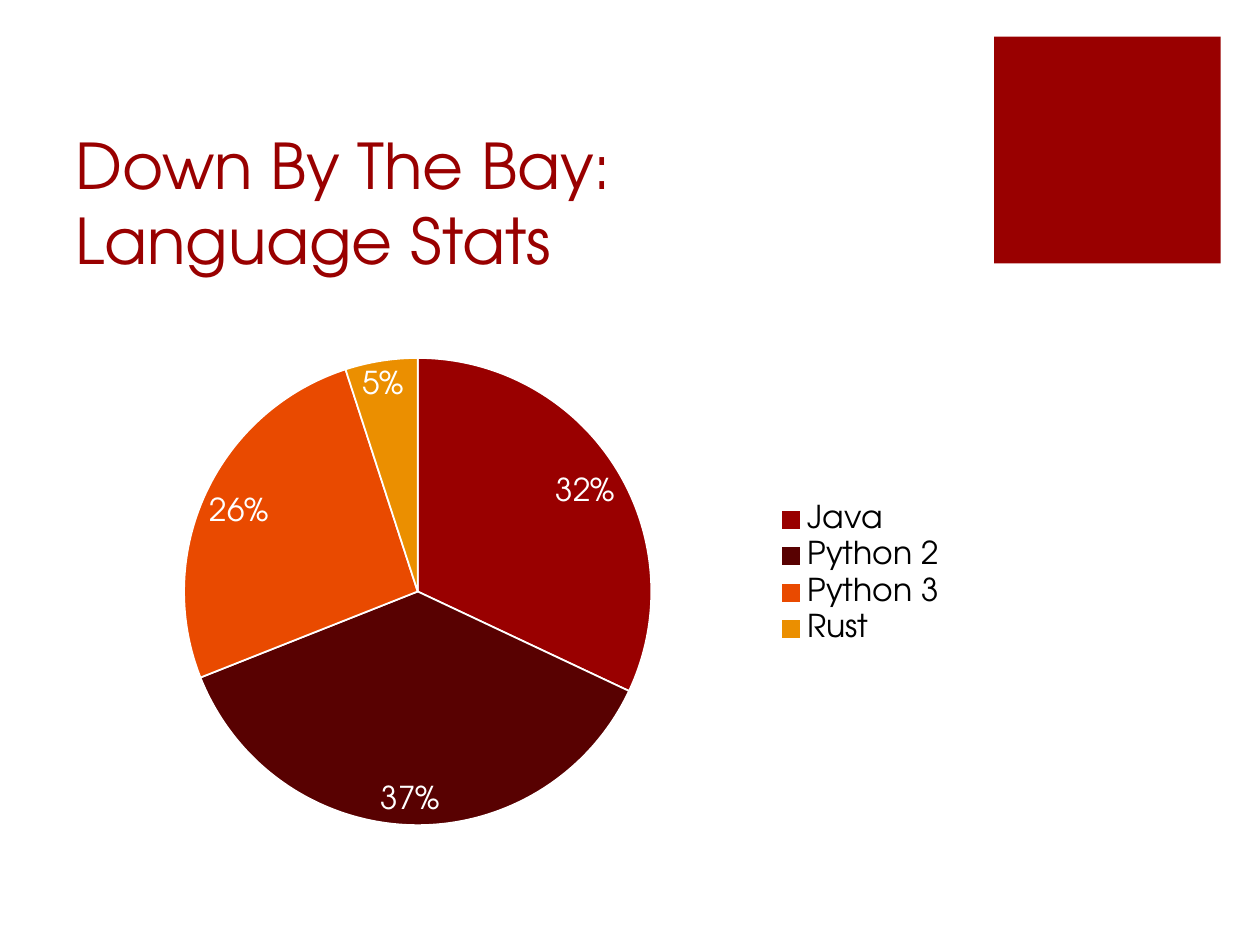
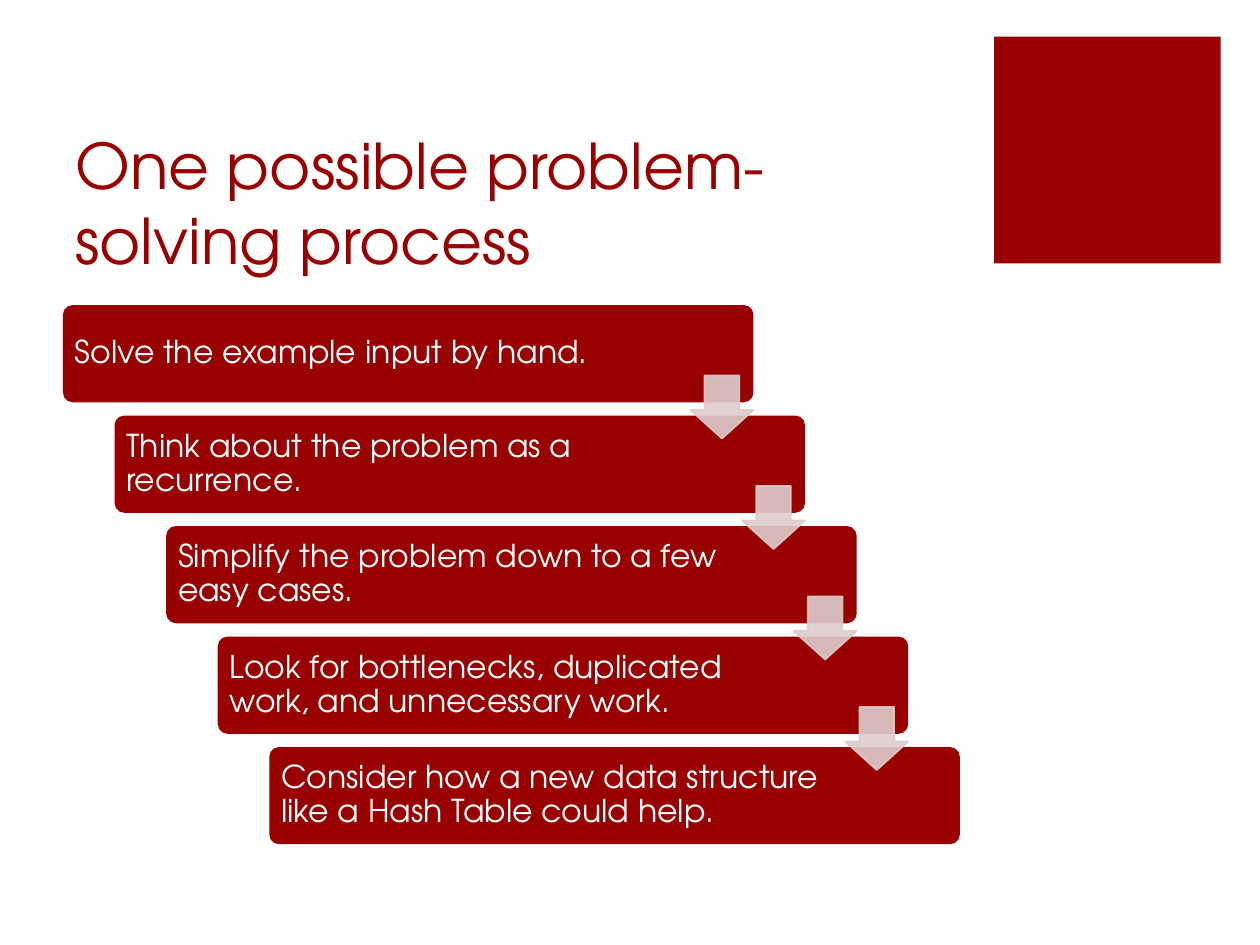
from pptx import Presentation
from pptx.chart.data import CategoryChartData as ChartData
from pptx.dml.color import RGBColor as RGB
from pptx.enum.chart import XL_CHART_TYPE as CT, XL_LABEL_POSITION as LP, XL_LEGEND_POSITION as LEG
from pptx.enum.shapes import MSO_SHAPE as SHAPE
from pptx.enum.text import MSO_ANCHOR as ANCHOR
from pptx.oxml import parse_xml
from pptx.oxml.ns import nsdecls
from pptx.util import Cm, Pt

FONT = "TeX Gyre Adventor"
COLORS = {
    "red": "990000",
    "maroon": "580101",
    "orange": "E94A00",
    "amber": "EB8F00",
    "pink": "DECCCC",
    "white": "FFFFFF",
    "black": "000000",
}

STATS_TITLE = "Down By The Bay:\nLanguage Stats"
LANGUAGES = [
    ("Java", 32, "red"),
    ("Python 2", 37, "maroon"),
    ("Python 3", 26, "orange"),
    ("Rust", 5, "amber"),
]

STEPS_TITLE = "One possible problem-solving process"
STEPS = [
    "Solve the example input by hand.",
    "Think about the problem as a recurrence.",
    "Simplify the problem down to a few easy cases.",
    "Look for bottlenecks, duplicated work, and unnecessary work.",
    "Consider how a new data structure like a Hash Table could help.",
]

LEFT, TOP, WIDTH, HEIGHT = 1.27, 6.15, 18.08, 10.87
BAR_W, BAR_H = 13.92, 1.96
ARROW, ARROW_DROP = 1.27, 1.42
STEP_X = (WIDTH - BAR_W) / (len(STEPS) - 1)
STEP_Y = (HEIGHT - BAR_H) / (len(STEPS) - 1)
PAD = 0.06


def rgb(name):
    return RGB.from_string(COLORS[name])


def set_font(font, size, color):
    font.name, font.size = FONT, Pt(size)
    font.color.rgb = rgb(color)


def add_text(s, text, box, size=18, color="white", anchor=ANCHOR.MIDDLE,
             inset=(0.18, 0.18), spacing=1.0):
    tf = s.shapes.add_textbox(*map(Cm, box)).text_frame
    tf.word_wrap = True
    tf.vertical_anchor = anchor
    tf.margin_left = tf.margin_right = Cm(inset[0])
    tf.margin_top = tf.margin_bottom = Cm(inset[1])
    p = tf.paragraphs[0]
    p.text = text
    p.line_spacing = spacing
    for r in p.runs:
        set_font(r.font, size, color)


def add_shape(s, kind, box, color, adjust=(), opacity=None):
    sp = s.shapes.add_shape(kind, *map(Cm, box))
    sp.shadow.inherit = False
    for i, value in enumerate(adjust):
        sp.adjustments[i] = value
    sp.fill.solid()
    sp.fill.fore_color.rgb = rgb(color)
    if opacity is None:
        sp.line.fill.background()
        return
    sp.line.color.rgb = rgb(color)
    sp.line.width = Pt(1)
    for clr in sp._element.spPr.xpath(".//a:srgbClr"):
        clr.append(parse_xml(f'<a:alpha {nsdecls("a")} val="{opacity * 1000}"/>'))


def add_slide(title):
    s = prs.slides.add_slide(prs.slide_layouts[6])
    add_shape(s, SHAPE.RECTANGLE, (20.04, 0.74, 4.57, 4.57), "red")
    add_text(s, title, (LEFT, 2.54, WIDTH, 3.18), size=36, color="red",
             anchor=ANCHOR.BOTTOM, inset=(0.25, 0.13))
    return s


def add_pie(s, rows):
    data = ChartData(number_format="General")
    data.categories = [name for name, _, _ in rows]
    data.add_series("Series 1", [value for _, value, _ in rows])
    box = map(Cm, (LEFT, TOP, WIDTH, HEIGHT))
    chart = s.shapes.add_chart(CT.PIE, *box, data).chart
    chart.has_title = False
    set_font(chart.font, 18, "black")
    chart.has_legend = True
    chart.legend.position = LEG.RIGHT
    chart.legend.include_in_layout = False

    plot = chart.plots[0]
    plot.vary_by_categories = True
    for i, (_, _, color) in enumerate(rows):
        fmt = plot.series[0].points[i].format
        fmt.fill.solid()
        fmt.fill.fore_color.rgb = rgb(color)
        fmt.line.color.rgb = rgb("white")
        fmt.line.width = Pt(1)
    plot.has_data_labels = True
    labels = plot.data_labels
    labels.show_percentage, labels.show_value = True, False
    labels.number_format, labels.number_format_is_linked = "0%", False
    labels.position = LP.BEST_FIT
    set_font(labels.font, 18, "white")

    area = chart._chartSpace.chart.plotArea
    for old in area.xpath("c:layout"):
        area.remove(old)
    parts = [("x", 0.135), ("y", 0.098), ("w", 0.521), ("h", 0.867)]
    modes = "".join(f'<c:{k}Mode val="edge"/>' for k in "xy")
    sizes = "".join(f'<c:{k} val="{v}"/>' for k, v in parts)
    area.insert(0, parse_xml(
        f'<c:layout {nsdecls("c")}><c:manualLayout><c:layoutTarget val="inner"/>'
        f'{modes}{sizes}</c:manualLayout></c:layout>'))


def add_staircase(s, steps):
    corners = [(LEFT + i * STEP_X, TOP + i * STEP_Y) for i in range(len(steps))]
    for text, (x, y) in zip(steps, corners):
        add_shape(s, SHAPE.ROUNDED_RECTANGLE, (x, y, BAR_W, BAR_H), "red", adjust=[0.1])
        add_text(s, text, (x + PAD, y + PAD, 11.51, BAR_H - 2 * PAD), spacing=0.9)
    for x, y in corners[:-1]:
        add_shape(s, SHAPE.DOWN_ARROW, (x + BAR_W - ARROW, y + ARROW_DROP, ARROW, ARROW),
                  "pink", adjust=[0.55, 0.45], opacity=90)


prs = Presentation()
prs.slide_width, prs.slide_height = Cm(25.4), Cm(19.05)
add_pie(add_slide(STATS_TITLE), LANGUAGES)
add_staircase(add_slide(STEPS_TITLE), STEPS)
prs.save("out.pptx")
